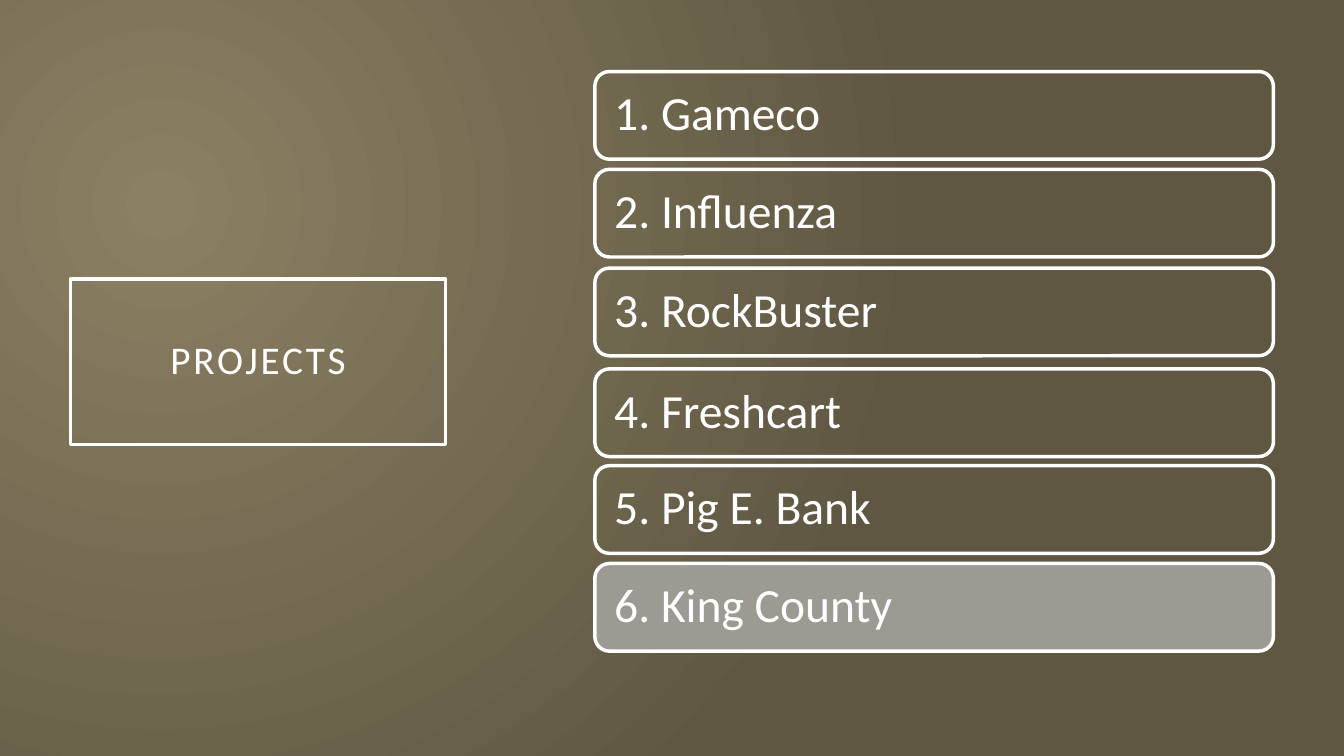
from lxml import etree
from pptx import Presentation
from pptx.dml.color import RGBColor
from pptx.enum.shapes import MSO_SHAPE
from pptx.enum.text import MSO_ANCHOR, PP_ALIGN
from pptx.oxml.ns import qn
from pptx.util import Inches, Pt

RECT, ROUND = MSO_SHAPE.RECTANGLE, MSO_SHAPE.ROUNDED_RECTANGLE
LEFT, CENTER = PP_ALIGN.LEFT, PP_ALIGN.CENTER
MIDDLE = MSO_ANCHOR.MIDDLE

# Content: each project with its top edge in inches
TITLE = "PROJECTS"
PROJECTS = [
    ("Gameco", 0.71),
    ("Influenza", 1.68),
    ("RockBuster", 2.66),
    ("Freshcart", 3.66),
    ("Pig E. Bank", 4.62),
    ("King County", 5.59),
]
COLORS = {"white": "FFFFFF", "glow": "8B8063", "edge": "5F5742", "gray": "9D9A93"}
FOCUS = {"l": 50000, "t": 55000, "r": 125000, "b": 100000}


def color(name):
    return RGBColor.from_string(COLORS[name])


def write(shape, text, size, align=LEFT, inset=0.2, gap=0):
    frame = shape.text_frame
    frame.word_wrap = True
    frame.vertical_anchor = MIDDLE
    frame.margin_left = frame.margin_right = Inches(inset)
    frame.margin_top = frame.margin_bottom = Inches(0.14)
    para = frame.paragraphs[0]
    para.alignment = align
    para.line_spacing = 0.9
    run = para.add_run()
    run.text = text
    run.font.name = "Calibri"
    run.font.size = Pt(size)
    run.font.color.rgb = color("white")
    if gap:
        run.font._element.set("spc", str(gap * 100))


def add_box(slide, kind, left, top, width, height, fill=None):
    box = slide.shapes.add_shape(
        kind, Inches(left), Inches(top), Inches(width), Inches(height))
    box.shadow.inherit = False
    if fill:
        box.fill.solid()
        box.fill.fore_color.rgb = color(fill)
    else:
        box.fill.background()
    box.line.color.rgb = color("white")
    box.line.width = Pt(2.5)
    return box


def paint_back(slide):
    fill = slide.background.fill
    fill.gradient()
    for stop, name in zip(fill.gradient_stops, ("glow", "edge")):
        stop.color.rgb = color(name)
    grad = slide._element.find(".//" + qn("a:gradFill"))
    grad.remove(grad.find(qn("a:lin")))
    ring = etree.SubElement(grad, qn("a:path"), {"path": "circle"})
    etree.SubElement(ring, qn("a:fillToRect"),
                     {side: str(part) for side, part in FOCUS.items()})


def main():
    deck = Presentation()
    deck.slide_width, deck.slide_height = Inches(13.33), Inches(7.5)
    slide = deck.slides.add_slide(deck.slide_layouts[6])
    paint_back(slide)

    # Framed title
    frame = add_box(slide, RECT, 0.7, 2.77, 3.72, 1.64)
    write(frame, TITLE, 28, align=CENTER, gap=2)

    # Project list, last entry filled
    for num, (name, top) in enumerate(PROJECTS, 1):
        fill = "gray" if num == len(PROJECTS) else None
        box = add_box(slide, ROUND, 5.9, top, 6.73, 0.87, fill)
        write(box, f"{num}. {name}", 34, inset=0.15)

    deck.save("out.pptx")


if __name__ == "__main__":
    main()
